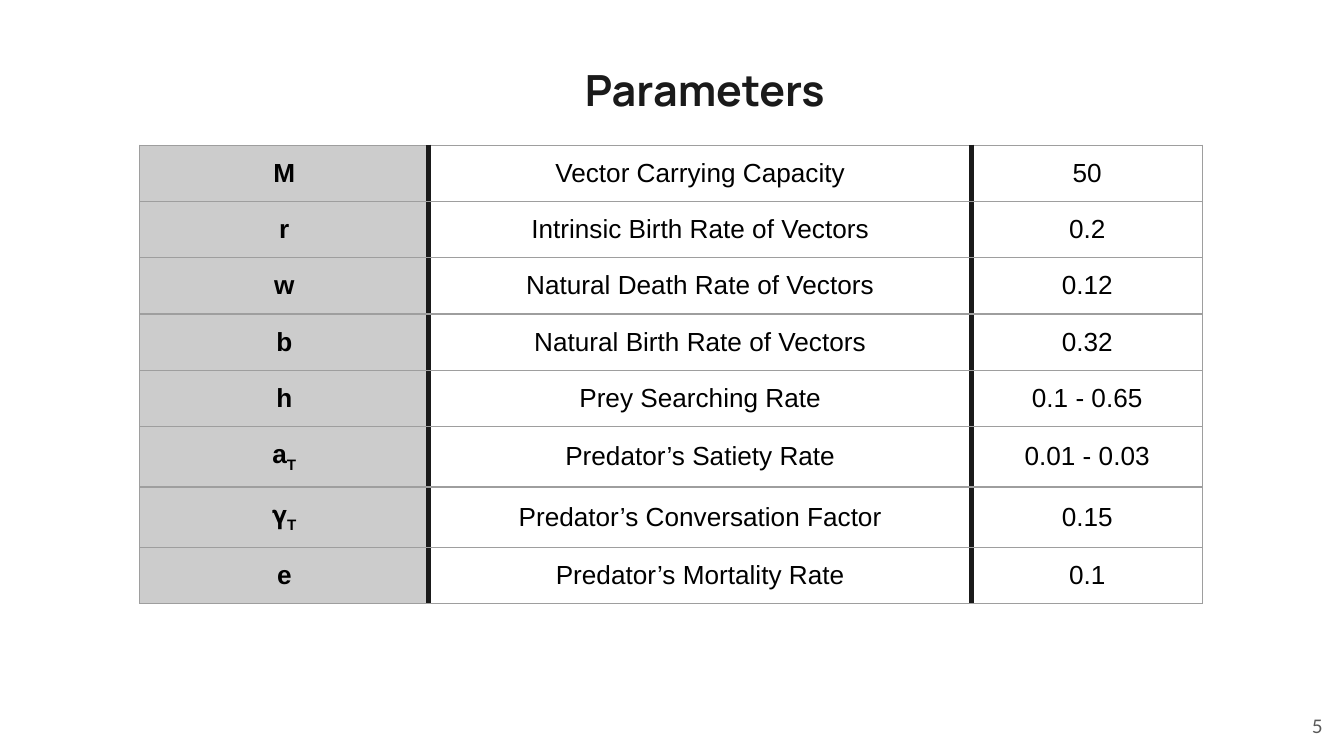
from lxml import etree
from pptx import Presentation
from pptx import util as u
from pptx.dml.color import RGBColor
from pptx.enum import text
from pptx.oxml import ns

INK, GREY = "1A1A1A", "9E9E9E"
COLUMN_WIDTHS = (2.15, 4.04, 1.72)
ROW_HEIGHT = 5 / 12

# Symbol, subscript, meaning, value
PARAMETERS = [
    ("M", "", "Vector Carrying Capacity", "50"),
    ("r", "", "Intrinsic Birth Rate of Vectors", "0.2"),
    ("w", "", "Natural Death Rate of Vectors", "0.12"),
    ("b", "", "Natural Birth Rate of Vectors", "0.32"),
    ("h", "", "Prey Searching Rate", "0.1 - 0.65"),
    ("a", "T", "Predator’s Satiety Rate", "0.01 - 0.03"),
    ("𝛄", "T", "Predator’s Conversation Factor", "0.15"),
    ("e", "", "Predator’s Mortality Rate", "0.1"),
]


def color(value):
    return RGBColor.from_string(value)


def add_run(paragraph, content, font, size, hex_color, bold=False, baseline=0):
    run = paragraph.add_run()
    run.text = content
    run.font.name = font
    run.font.size = u.Pt(size)
    run.font.bold = bold
    run.font.color.rgb = color(hex_color)
    if baseline:
        run.font._element.set("baseline", str(baseline * 1000))


def set_insets(target):
    target.margin_left = target.margin_right = u.Inches(0.1)
    target.margin_top = target.margin_bottom = u.Inches(0.1)


def set_borders(cell, sides):
    """Add borders ahead of the fill, as the schema requires."""
    properties = cell._tc.get_or_add_tcPr()
    for index, (side, (hex_color, width)) in enumerate(sides.items()):
        line = etree.Element(ns.qn(f"a:ln{side}"), w=str(u.Pt(width)))
        fill = etree.SubElement(line, ns.qn("a:solidFill"))
        etree.SubElement(fill, ns.qn("a:srgbClr"), val=hex_color)
        properties.insert(index, line)


def place_title(slide, left, top, width, height):
    title = slide.shapes.title
    title.left, title.top = u.Inches(left), u.Inches(top)
    title.width, title.height = u.Inches(width), u.Inches(height)
    frame = title.text_frame
    set_insets(frame)
    frame.word_wrap = True
    frame.auto_size = text.MSO_AUTO_SIZE.NONE
    frame.vertical_anchor = text.MSO_ANCHOR.TOP
    paragraph = frame.paragraphs[0]
    paragraph.alignment = text.PP_ALIGN.CENTER
    paragraph.line_spacing = 1.0
    paragraph.space_before = u.Pt(0)
    add_run(paragraph, "Parameters", "Manrope", 23, INK, bold=True)


def add_parameter_table(slide, left, top):
    frame = slide.shapes.add_table(
        len(PARAMETERS), len(COLUMN_WIDTHS), u.Inches(left), u.Inches(top),
        u.Inches(sum(COLUMN_WIDTHS)), u.Inches(ROW_HEIGHT * len(PARAMETERS)))
    table = frame.table
    table.first_row = table.horz_banding = False
    for column, width in zip(table.columns, COLUMN_WIDTHS):
        column.width = u.Inches(width)

    thin, divider = (GREY, 0.75), (INK, 3)
    last = len(COLUMN_WIDTHS) - 1
    for row_index, (symbol, subscript, meaning, value) in enumerate(PARAMETERS):
        table.rows[row_index].height = u.Inches(ROW_HEIGHT)
        for column_index, content in enumerate((symbol, meaning, value)):
            cell = table.cell(row_index, column_index)
            is_symbol = column_index == 0
            set_insets(cell)
            cell.vertical_anchor = text.MSO_ANCHOR.MIDDLE
            cell.fill.solid()
            cell.fill.fore_color.rgb = color("CCCCCC" if is_symbol else "FFFFFF")
            set_borders(cell, {
                "L": thin if is_symbol else divider,
                "R": thin if column_index == last else divider,
                "T": thin,
                "B": thin,
            })
            paragraph = cell.text_frame.paragraphs[0]
            paragraph.alignment = text.PP_ALIGN.CENTER
            add_run(paragraph, content, "Arial", 14, "000000", bold=is_symbol)
            if is_symbol and subscript:
                add_run(paragraph, subscript, "Arial", 14, "000000",
                        bold=True, baseline=-25)


def add_page_number(slide, left, top, width, height):
    box = slide.shapes.add_textbox(
        u.Inches(left), u.Inches(top), u.Inches(width), u.Inches(height))
    frame = box.text_frame
    set_insets(frame)
    frame.word_wrap = True
    frame.vertical_anchor = text.MSO_ANCHOR.MIDDLE
    paragraph = frame.paragraphs[0]
    paragraph.alignment = text.PP_ALIGN.RIGHT
    add_run(paragraph, "5", "Lato", 10, "595959")


def main():
    presentation = Presentation()
    # Widescreen, 16:9
    presentation.slide_width = u.Inches(10)
    presentation.slide_height = u.Inches(10 * 9 / 16)
    slide = presentation.slides.add_slide(presentation.slide_layouts[5])
    slide.background.fill.solid()
    slide.background.fill.fore_color.rgb = color("FFFFFF")

    place_title(slide, 1.04, 0.37, 8.41, 0.59)
    add_parameter_table(slide, 1.04, 1.08)
    add_page_number(slide, 9.34, 5.19, 0.6, 0.43)
    presentation.save("out.pptx")


if __name__ == "__main__":
    main()
